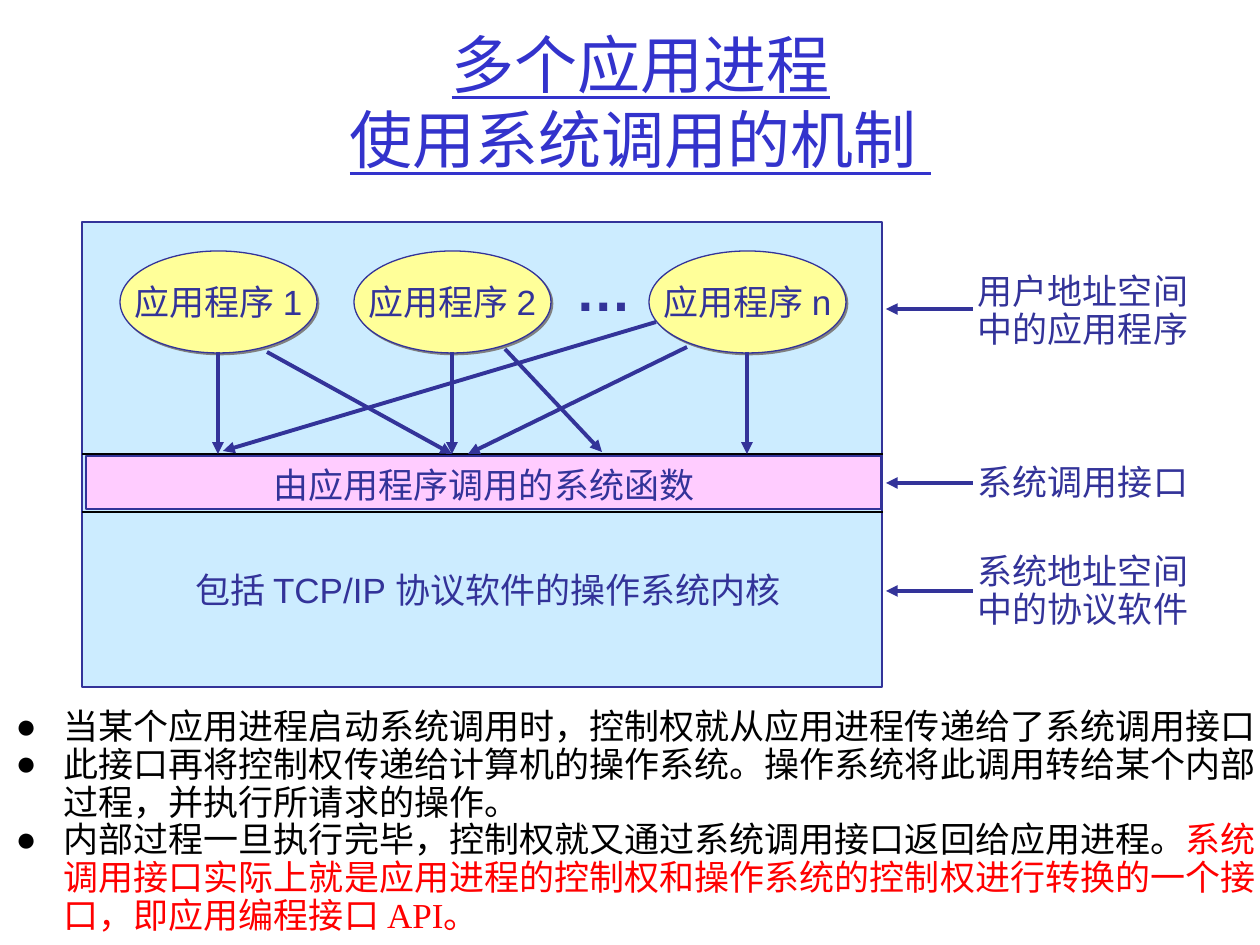
import pptx
import pptx.util
from lxml import etree
from pptx.dml.color import RGBColor
from pptx.enum.shapes import MSO_CONNECTOR, MSO_SHAPE
from pptx.enum.text import MSO_ANCHOR, MSO_AUTO_SIZE, PP_ALIGN
from pptx.oxml.ns import qn

PX_PER_INCH = 126
NAVY = "333399"
BLACK = "000000"


def px(length):
    return pptx.util.Emu(round(length * 914400 / PX_PER_INCH))


def colour(value):
    return RGBColor.from_string(value)


def style_font(font, name, size, shade):
    font.name = name
    font.size = pptx.util.Pt(size)
    font.color.rgb = colour(shade)


def place(shape, left, top, width, height):
    shape.left, shape.top = px(left), px(top)
    shape.width, shape.height = px(width), px(height)


def write_centred(shape, text, size=20, bold=None, spacing=None):
    frame = shape.text_frame
    frame.word_wrap = False
    frame.text = text
    for para in frame.paragraphs:
        para.alignment = PP_ALIGN.CENTER
        if spacing:
            para.line_spacing = spacing
        style_font(para.font, "Arial", size, NAVY)
        para.font.bold = bold


def add_label(page, area, text, **style):
    box = page.shapes.add_textbox(*map(px, area))
    box.text_frame.auto_size = MSO_AUTO_SIZE.SHAPE_TO_FIT_TEXT
    write_centred(box, text, **style)


def add_filled(page, kind, area, fill, line_width):
    shape = page.shapes.add_shape(kind, *map(px, area))
    shape.shadow.inherit = False
    shape.fill.solid()
    shape.fill.fore_color.rgb = colour(fill)
    shape.line.color.rgb = colour(NAVY)
    shape.line.width = pptx.util.Pt(line_width)
    return shape


def add_process(page, left, text):
    oval = add_filled(page, MSO_SHAPE.OVAL, (left, 251, 197, 102), "FFFF99", 0.75)
    effects = oval.element.spPr.find(qn("a:effectLst"))
    shadow = etree.SubElement(effects, qn("a:outerShdw"), dist="17780",
                              dir="2700000", algn="ctr", rotWithShape="0")
    etree.SubElement(shadow, qn("a:srgbClr"), val="808080")
    oval.text_frame.vertical_anchor = MSO_ANCHOR.MIDDLE
    write_centred(oval, text)


def add_line(page, start, end, shade=NAVY, width=2.25, arrow=True):
    line = page.shapes.add_connector(MSO_CONNECTOR.STRAIGHT, *map(px, start + end))
    line.line.color.rgb = colour(shade)
    line.line.width = pptx.util.Pt(width)
    if arrow:
        etree.SubElement(line.line._get_or_add_ln(), qn("a:tailEnd"), type="triangle")
    etree.SubElement(line.element.spPr, qn("a:effectLst"))


def fill_title(title):
    place(title, 131, 0, 1019, 202)
    frame = title.text_frame
    frame.vertical_anchor = MSO_ANCHOR.MIDDLE
    frame.text = "多个应用进程\v使用系统调用的机制 "
    para = frame.paragraphs[0]
    para.alignment = PP_ALIGN.CENTER
    style_font(para.font, "Comic Neue", 36, "3333CC")
    para.font.underline = True


def fill_list(body, items):
    place(body, 3, 703, 1283, 239)
    frame = body.text_frame
    frame.auto_size = MSO_AUTO_SIZE.NONE
    frame.word_wrap = True
    frame.text = "\n".join(items)
    for para in frame.paragraphs:
        para.line_spacing = 0.9
        para.space_before = pptx.util.Pt(0)
        properties = para._p.get_or_add_pPr()
        properties.set("marL", str(px(48)))
        properties.set("indent", str(px(-48)))
        bullet_colour = etree.SubElement(properties, qn("a:buClr"))
        etree.SubElement(bullet_colour, qn("a:srgbClr"), val=BLACK)
        etree.SubElement(properties, qn("a:buChar"), char="●")
        style_font(para.font, "Times New Roman", 20, BLACK)
    return frame.paragraphs


def main():
    deck = pptx.Presentation()
    deck.slide_width, deck.slide_height = px(1260), px(945)
    page = deck.slides.add_slide(deck.slide_layouts[1])
    fill_title(page.shapes.title)

    # Address spaces and the application processes
    add_filled(page, MSO_SHAPE.RECTANGLE, (82, 222, 800, 465), "CCECFF", 1.5)
    for left, name in ((120, "1"), (354, "2"), (649, "n")):
        add_process(page, left, f"应用程序 {name}")
    add_label(page, (563, 249, 81, 81), "…", size=32, bold=True)

    # System call band between its two borders
    add_filled(page, MSO_SHAPE.RECTANGLE, (86, 456, 795, 53), "FFCCFF", 0.75)
    for y in (454, 512):
        add_line(page, (82, y), (883, y), BLACK, 0.75, arrow=False)
    add_label(page, (261, 457, 446, 55), "由应用程序调用的系统函数")
    add_label(page, (169, 562, 638, 55), "包括 TCP/IP 协议软件的操作系统内核")

    # Calls from the processes to the band
    for x in (218, 452, 747):
        add_line(page, (x, 352), (x, 454))
    for start, end in (((267, 352), (452, 454)), ((687, 347), (468, 454)),
                       ((656, 322), (223, 451)), ((505, 349), (602, 452))):
        add_line(page, start, end)

    # Labels on the right
    for y, top, height, spacing, text in (
            (309, 268, 88, 0.9, "用户地址空间\n中的应用程序"),
            (483, 454, 55, None, "系统调用接口"),
            (591, 548, 88, 0.9, "系统地址空间\n中的协议软件")):
        add_line(page, (973, y), (886, y))
        add_label(page, (965, top, 236, height), text, spacing=spacing)

    # Explanation, ending with the highlighted definition
    paragraphs = fill_list(page.placeholders[1], (
        "当某个应用进程启动系统调用时，控制权就从应用进程传递给了系统调用接口",
        "此接口再将控制权传递给计算机的操作系统。操作系统将此调用转给某个内部过程，并执行所请求的操作。",
        "内部过程一旦执行完毕，控制权就又通过系统调用接口返回给应用进程。"))
    span = paragraphs[-1].add_run()
    span.text = "系统调用接口实际上就是应用进程的控制权和操作系统的控制权进行转换的一个接口，即应用编程接口 API。"
    span.font.color.rgb = colour("FF0000")

    deck.save("out.pptx")


if __name__ == "__main__":
    main()
